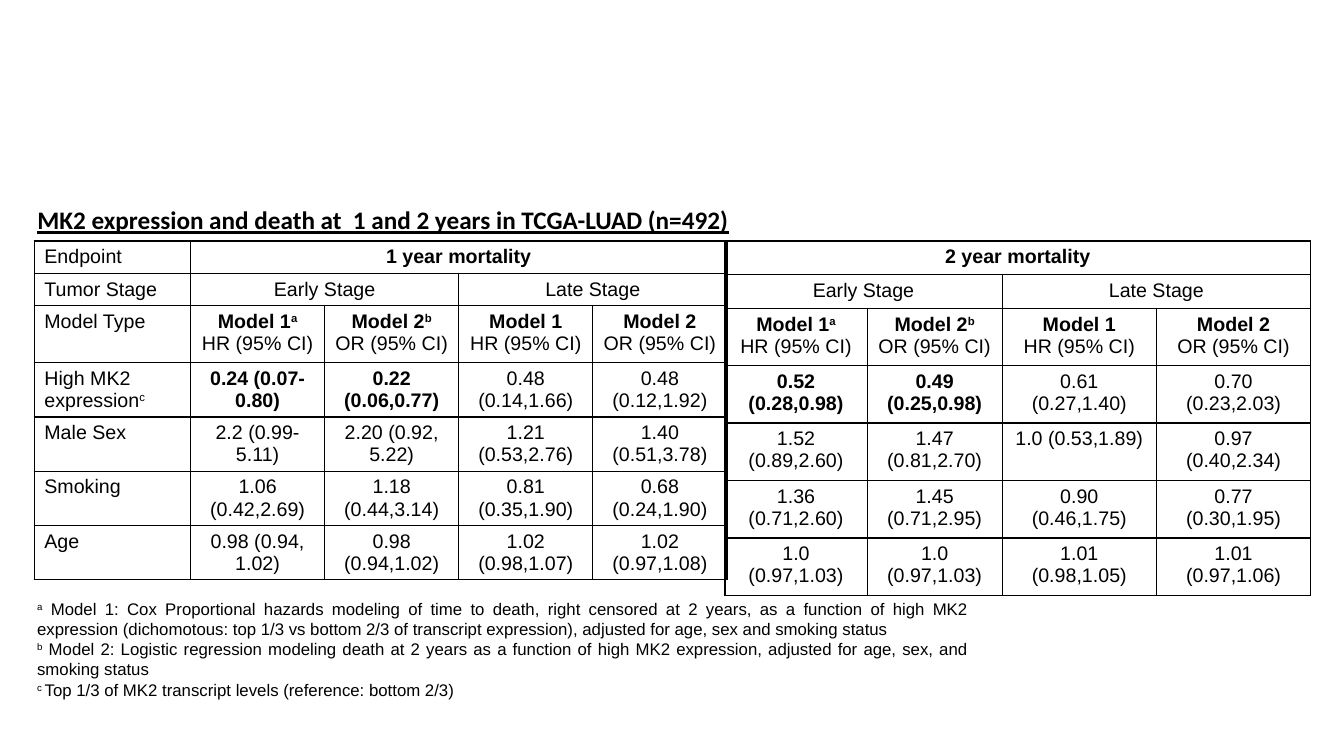
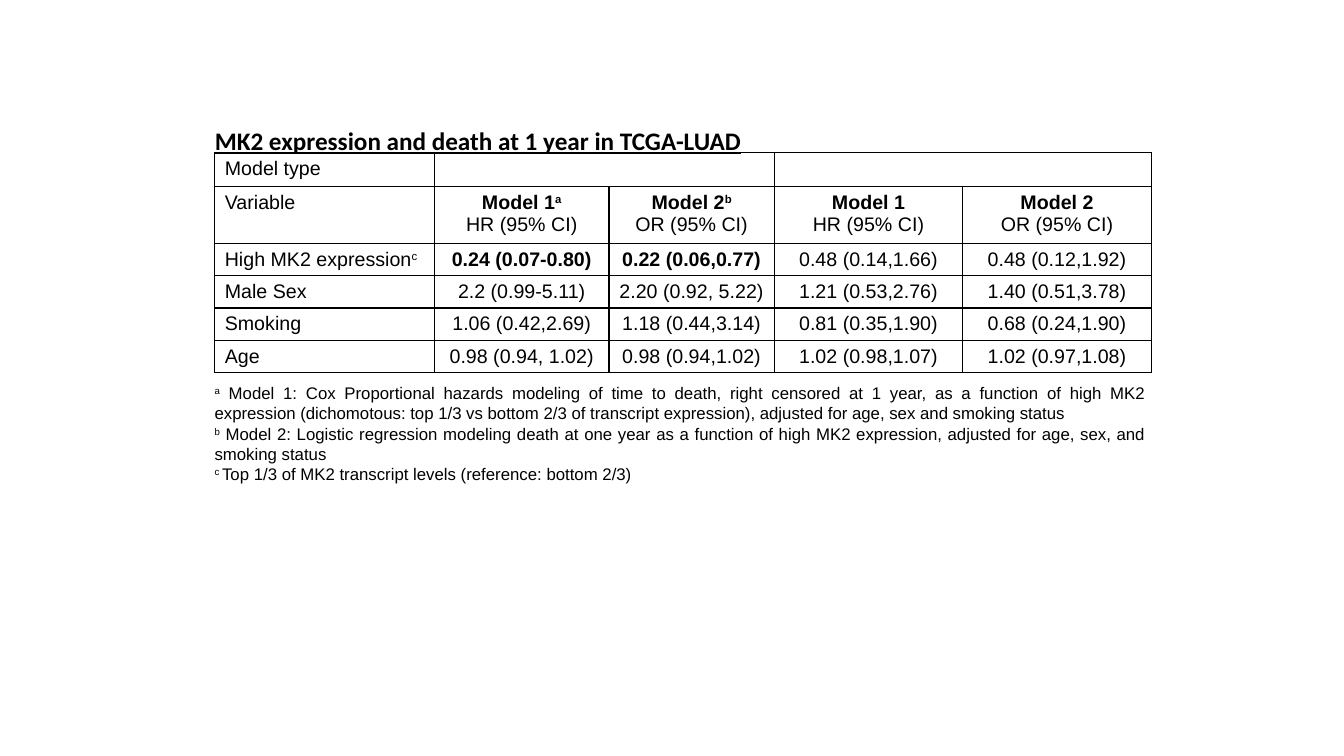
from lxml import etree
from pptx import Presentation
from pptx.dml.color import RGBColor
from pptx.enum import text as t
from pptx.oxml.ns import qn
from pptx.util import Inches, Pt

COLORS = {"ink": "000000"}
BODY_FONT, TITLE_FONT = "Arial", "Calibri"
LEFT, CENTER, JUSTIFY = t.PP_ALIGN.LEFT, t.PP_ALIGN.CENTER, t.PP_ALIGN.JUSTIFY
LINE_ROW, MODEL_ROW = 0.32, 0.57

MODEL_HEADS = ["*Model 1^a^\nHR (95% CI)", "*Model 2^b^\nOR (95% CI)",
               "*Model 1\nHR (95% CI)", "*Model 2\nOR (95% CI)"]
STAGES = ["Early Stage", "", "Late Stage", ""]
VARIABLES = ["High MK2 expression^c^", "Male Sex", "Smoking", "Age"]
ONE_YEAR = [
    ["*0.24 (0.07-0.80)", "*0.22 (0.06,0.77)", "0.48 (0.14,1.66)", "0.48 (0.12,1.92)"],
    ["2.2 (0.99-5.11)", "2.20 (0.92, 5.22)", "1.21 (0.53,2.76)", "1.40 (0.51,3.78)"],
    ["1.06 (0.42,2.69)", "1.18 (0.44,3.14)", "0.81 (0.35,1.90)", "0.68 (0.24,1.90)"],
    ["0.98 (0.94, 1.02)", "0.98 (0.94,1.02)", "1.02 (0.98,1.07)", "1.02 (0.97,1.08)"],
]
TWO_YEAR = [
    ["*0.52 (0.28,0.98)", "*0.49 (0.25,0.98)", "0.61 (0.27,1.40)", "0.70 (0.23,2.03)"],
    ["1.52 (0.89,2.60)", "1.47 (0.81,2.70)", "1.0 (0.53,1.89)", "0.97 (0.40,2.34)"],
    ["1.36 (0.71,2.60)", "1.45 (0.71,2.95)", "0.90 (0.46,1.75)", "0.77 (0.30,1.95)"],
    ["1.0 (0.97,1.03)", "1.0 (0.97,1.03)", "1.01 (0.98,1.05)", "1.01 (0.97,1.06)"],
]
FOOTNOTES = (
    "^a^ Model 1: Cox Proportional hazards modeling of time to death, right censored at "
    "{censored}, as a function of high MK2 expression (dichomotous: top 1/3 vs bottom 2/3 "
    "of transcript expression), adjusted for age, sex and smoking status\n"
    "^b^ Model 2: Logistic regression modeling death at {death} as a function of high MK2 "
    "expression, adjusted for age, sex, and smoking status\n"
    "^c ^Top 1/3 of MK2 transcript levels (reference: bottom 2/3)")


def write(frame, content, size=14, font=BODY_FONT, align=LEFT, underline=False):
    """Fill a text frame; a leading * makes a line bold, ^...^ is superscript."""
    for index, line in enumerate(content.split("\n")):
        paragraph = frame.paragraphs[0] if index == 0 else frame.add_paragraph()
        paragraph.alignment = align
        if not line:
            paragraph._p.get_or_add_endParaRPr().set("sz", str(size * 100))
        for part, words in enumerate(line.removeprefix("*").split("^")):
            if not words:
                continue
            run = paragraph.add_run()
            run.text = words
            run.font.size, run.font.name = Pt(size), font
            run.font.bold, run.font.underline = line.startswith("*"), underline
            run.font.color.rgb = RGBColor.from_string(COLORS["ink"])
            if part % 2:
                run._r.get_or_add_rPr().set("baseline", "30000")


def outline_cell(cell):
    properties = cell._tc.get_or_add_tcPr()
    for side in ("lnL", "lnR", "lnT", "lnB"):
        line = etree.SubElement(properties, qn(f"a:{side}"), w=str(Pt(1)))
        fill = etree.SubElement(line, qn("a:solidFill"))
        etree.SubElement(fill, qn("a:srgbClr"), val=COLORS["ink"])


def add_results_table(slide, left, top, widths, heights, rows, spans, labelled=True):
    """Draw a bordered grid; spans lists (row, first column, last column)."""
    table = slide.shapes.add_table(
        len(rows), len(widths), Inches(left), Inches(top),
        Inches(sum(widths)), Inches(sum(heights))).table
    table.first_row = table.horz_banding = False
    for column, width in zip(table.columns, widths):
        column.width = Inches(width)
    for row, height in zip(table.rows, heights):
        row.height = Inches(height)
    for row, first, last in spans:
        table.cell(row, first).merge(table.cell(row, last))
    for r, values in enumerate(rows):
        for c, value in enumerate(values):
            cell = table.cell(r, c)
            outline_cell(cell)
            cell.fill.background()
            write(cell.text_frame, value,
                  align=LEFT if labelled and c == 0 else CENTER)


def add_title(slide, content, left, top, width):
    title = slide.shapes.title
    title.left, title.top = Inches(left), Inches(top)
    title.width, title.height = Inches(width), Inches(0.4)
    frame = title.text_frame
    frame.auto_size, frame.word_wrap = t.MSO_AUTO_SIZE.NONE, False
    frame.vertical_anchor = t.MSO_ANCHOR.TOP
    write(frame, "*" + content, size=18, font=TITLE_FONT, underline=True)


def add_footnotes(slide, left, top, censored, death):
    box = slide.shapes.add_textbox(Inches(left), Inches(top), Inches(9.44), Inches(1.25))
    box.text_frame.word_wrap = True
    write(box.text_frame, FOOTNOTES.format(censored=censored, death=death),
          size=12, align=JUSTIFY)


def with_labels(labels, rows):
    return [[label, *row] for label, row in zip(labels, rows)]


def build_two_year_slide(slide):
    add_title(slide, "MK2 expression and death at  1 and 2 years in TCGA-LUAD (n=492)",
              0.27, 1.98, 7.32)
    one_year = [["*1 year mortality", "", "", ""], STAGES, MODEL_HEADS, *ONE_YEAR]
    two_year = [["*2 year mortality", "", "", ""], STAGES, MODEL_HEADS, *TWO_YEAR]
    labels = ["Endpoint", "Tumor Stage", "Model Type", *VARIABLES]
    add_results_table(slide, 0.34, 2.39, [1.55] + [1.33] * 4,
                      [LINE_ROW] * 2 + [MODEL_ROW] + [0.53] * 4,
                      with_labels(labels, one_year),
                      [(0, 1, 4), (1, 1, 2), (1, 3, 4)])
    add_footnotes(slide, 0.27, 5.89, "2 years", "2 years")
    add_results_table(slide, 7.19, 2.39, [1.41, 1.34, 1.53, 1.53],
                      [0.33] * 2 + [MODEL_ROW] * 5, two_year,
                      [(0, 0, 3), (1, 0, 1), (1, 2, 3)], labelled=False)


def build_one_year_slide(slide):
    add_title(slide, "MK2 expression and death at 1 year in TCGA-LUAD", 2.03, 1.19, 5.79)
    labels = ["Model type", "Variable", *VARIABLES]
    add_results_table(slide, 2.13, 1.51, [2.18, 1.73, 1.64, 1.87, 1.87],
                      [LINE_ROW, MODEL_ROW] + [LINE_ROW] * 4,
                      with_labels(labels, [[""] * 4, MODEL_HEADS, *ONE_YEAR]),
                      [(0, 1, 2), (0, 3, 4)])
    add_footnotes(slide, 2.03, 3.75, "1 year", "one year")


def main():
    deck = Presentation()
    deck.slide_width, deck.slide_height = Inches(13.33), Inches(7.5)
    title_only = deck.slide_layouts[5]
    for build in (build_two_year_slide, build_one_year_slide):
        build(deck.slides.add_slide(title_only))
    deck.save("out.pptx")


if __name__ == "__main__":
    main()
